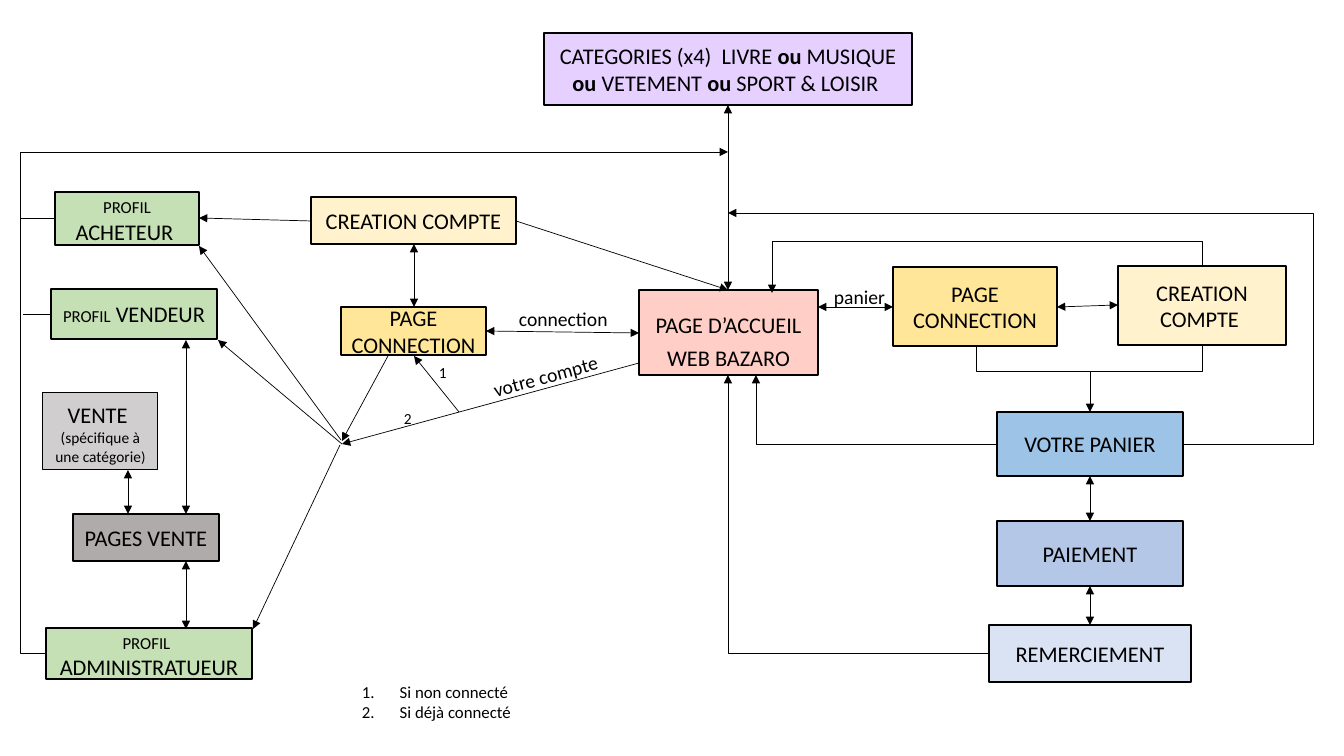
from pptx import Presentation
from pptx.dml.color import RGBColor as RGB
from pptx.enum.shapes import MSO_CONNECTOR as LINK, MSO_SHAPE as SHAPE
from pptx.enum.text import MSO_ANCHOR as ANCHOR, PP_ALIGN as ALIGN
from pptx.oxml.ns import qn
from pptx.util import Pt
from lxml.etree import SubElement as Sub

SCALE = 914400 / 100.8
BLACK = RGB(0, 0, 0)
RED = RGB(0xFF, 0x26, 0x00)
PURPLE = RGB(0x94, 0x37, 0xFF)
GOLD = RGB(0xFF, 0xE6, 0x99)
CREAM = RGB(0xFF, 0xF2, 0xCC)
GREEN = RGB(0xC5, 0xE0, 0xB4)
GREY = RGB(0xAF, 0xAB, 0xAB)
SILVER = RGB(0xD0, 0xCE, 0xCE)
BLUE = RGB(0x9D, 0xC3, 0xE6)
STEEL = RGB(0xB4, 0xC7, 0xE7)
ICE = RGB(0xDA, 0xE3, 0xF3)


def px(value):
    return round(value * SCALE)


class Board:
    font = "Calibri"

    def __init__(self, slide):
        self.shapes = slide.shapes

    def set_text(self, frame, paras, size, align):
        for index, runs in enumerate(paras):
            para = frame.paragraphs[0] if index == 0 else frame.add_paragraph()
            para.alignment = align
            para.font.name = self.font
            para.font.size = Pt(size)
            para.font.color.rgb = BLACK
            for text, *style in [(runs,)] if isinstance(runs, str) else runs:
                run = para.add_run()
                run.text = text
                if "bold" in style:
                    run.font.bold = True
                elif style:
                    run.font.size = Pt(style[0])

    def box(self, area, fill, *paras, alpha=None, width=1, anchor=ANCHOR.MIDDLE):
        shape = self.shapes.add_shape(SHAPE.RECTANGLE, *map(px, area))
        shape.shadow.inherit = False
        shape.fill.solid()
        shape.fill.fore_color.rgb = fill
        if alpha:
            tint = shape._element.spPr.find(qn("a:solidFill"))[0]
            Sub(tint, qn("a:alpha"), val=str(alpha * 1000))
        shape.line.color.rgb = BLACK
        shape.line.width = Pt(width)
        frame = shape.text_frame
        frame.word_wrap = True
        frame.vertical_anchor = anchor
        self.set_text(frame, paras, 16, ALIGN.CENTER)
        return frame

    def label(self, area, *paras, size=14, turn=0, wrap=False):
        shape = self.shapes.add_textbox(*map(px, area))
        shape.rotation = turn
        frame = shape.text_frame
        frame.word_wrap = wrap
        self.set_text(frame, paras, size, ALIGN.LEFT)
        return frame

    def line(self, start, end, tips="", kind=LINK.STRAIGHT):
        link = self.shapes.add_connector(kind, *map(px, start + end))
        link.line.color.rgb = BLACK
        link.line.width = Pt(0.5)
        props = link._element.spPr
        for tip in ("head", "tail"):
            if tip in tips:
                Sub(props.find(qn("a:ln")), qn(f"a:{tip}End"), type="triangle")
        Sub(props, qn("a:effectLst"))
        return link

    def elbow(self, start, end, bend=None, tips="tail", upright=False):
        link = self.line(start, end, tips, LINK.ELBOW)
        (x, y), (right, low) = start, end
        wide, high = right - x, low - y
        frame = link._element.spPr.find(qn("a:xfrm"))
        flips = wide < 0, high < 0
        if upright:
            link.left = px((x + right - abs(high)) / 2)
            link.top = px((y + low - abs(wide)) / 2)
            link.width, link.height = px(abs(high)), px(abs(wide))
            frame.set("rot", "5400000")
            flips = high < 0, wide > 0
        for name, flip in zip(("flipH", "flipV"), flips):
            frame.set(name, str(int(flip)))
        geom = link._element.spPr.find(qn("a:prstGeom"))
        if bend is None:
            geom.set("prst", "bentConnector2")
        else:
            ratio = (bend - y) / high if upright else (bend - x) / wide
            guides = geom.find(qn("a:avLst"))
            Sub(guides, qn("a:gd"), name="adj1", fmla=f"val {round(ratio * 100000)}")

    def number(self, frame):
        for para in frame.paragraphs:
            props = para._p.get_or_add_pPr()
            props.set("marL", "342900")
            props.set("indent", "-342900")
            mark = props.makeelement(qn("a:buAutoNum"), {"type": "arabicPeriod"})
            props.insert(0, mark)


deck = Presentation()
deck.slide_width, deck.slide_height = px(1344), px(756)
board = Board(deck.slides.add_slide(deck.slide_layouts[6]))

home = board.box((639, 290, 179, 85), RED, "PAGE D’ACCUEIL", "WEB BAZARO", alpha=22)
home.margin_top = px(22)
home.paragraphs[1].space_before = Pt(4)
board.box((544, 33, 368, 72), PURPLE, [
    ("CATEGORIES (x4)  LIVRE ",), ("ou", "bold"), (" MUSIQUE ",), ("ou", "bold"),
    (" VETEMENT ",), ("ou ", "bold"), ("SPORT & LOISIR ",)], alpha=23)

for area, fill, text in (
    ((893, 267, 164, 79), GOLD, "PAGE CONNECTION"),
    ((1118, 266, 168, 79), CREAM, "CREATION COMPTE "),
    ((341, 307, 145, 48), GOLD, "PAGE CONNECTION"),
    ((311, 197, 205, 47), CREAM, "CREATION COMPTE"),
    ((997, 412, 186, 64), BLUE, "VOTRE PANIER"),
    ((997, 521, 186, 65), STEEL, "PAIEMENT"),
    ((989, 625, 202, 57), ICE, "REMERCIEMENT"),
    ((73, 514, 146, 47), GREY, "PAGES VENTE"),
):
    board.box(area, fill, text)

small = ("PROFIL", 12)
board.box((55, 192, 144, 53), GREEN, [small, (" ACHETEUR ",)])
board.box((51, 289, 166, 50), GREEN, [small, (" VENDEUR ",)])
board.box((46, 628, 206, 51), GREEN, [small, (" ",)], "ADMINISTRATUEUR")
board.box((43, 393, 115, 77), SILVER, [("VENTE",), (" ", 18)],
          [("(spécifique à une catégorie", 11), (")", 10.5)],
          width=0.75, anchor=ANCHOR.TOP)

for start, end in (
    ((486, 331), (639, 333)), ((414, 307), (414, 244)),
    ((818, 307), (893, 307)), ((1057, 307), (1118, 305)),
    ((1090, 521), (1090, 476)), ((1090, 625), (1090, 586)),
    ((186, 514), (186, 340)), ((186, 629), (186, 561)),
    ((728, 105), (728, 290)), ((128, 514), (128, 470)),
):
    board.line(start, end, "head tail")

for start, end in (
    ((459, 412), (414, 356)), ((639, 363), (342, 444)),
    ((388, 356), (342, 441)), ((342, 444), (218, 340)),
    ((341, 440), (199, 246)), ((516, 221), (728, 290)),
    ((1090, 372), (1090, 412)), ((311, 221), (199, 218)),
    ((340, 445), (253, 629)),
):
    board.line(start, end, "tail")

board.line((23, 314), (51, 314))
board.line((21, 218), (55, 218))

board.elbow((976, 347), (1202, 345), 372, tips="", upright=True)
board.elbow((1202, 266), (772, 293), 241, upright=True)
board.elbow((989, 653), (728, 375))
board.elbow((997, 444), (756, 375))
board.elbow((1183, 444), (728, 213), 1313)
board.elbow((46, 653), (728, 152), 21)

board.label((824, 280, 72, 34), "panier")
board.label((509, 302, 110, 34), "connection")
board.label((482, 359, 128, 34), "votre compte", turn=-15.3)
board.label((429, 358, 28, 29), "1", size=11)
board.label((394, 404, 22, 29), "2", size=11, wrap=True)
notes = board.label((352, 677, 257, 50), "Si non connecté", "Si déjà connecté",
                    size=12, wrap=True)
board.number(notes)

deck.save("out.pptx")
